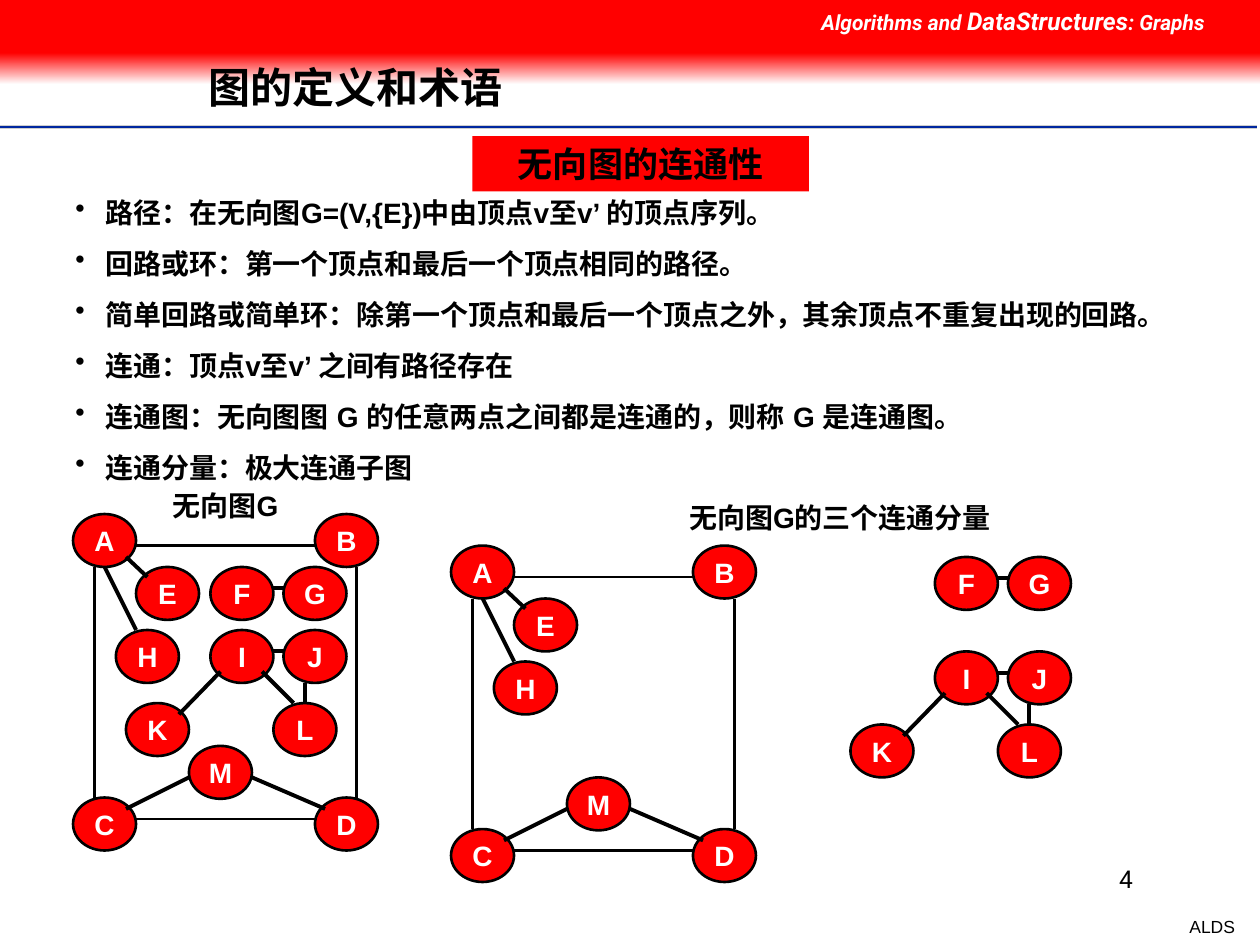
from dataclasses import dataclass

from lxml.etree import SubElement
from pptx import Presentation
from pptx.dml.color import RGBColor
from pptx.enum.shapes import MSO_CONNECTOR, MSO_SHAPE
from pptx.enum.text import MSO_ANCHOR, PP_ALIGN
from pptx.oxml.ns import qn
from pptx.util import Inches, Pt

RED, BLACK, WHITE = "FF0000", "000000", "FFFFFF"
NODE_WIDTH, NODE_HEIGHT = 0.5, 0.42
THIN, THICK = 1.5, 2.25


@dataclass(frozen=True)
class Style:
    size: float
    color: str = BLACK
    font: str = "Arial"
    bold: bool = True
    italic: bool = False
    align: PP_ALIGN = PP_ALIGN.LEFT
    before: float = 0


@dataclass(frozen=True)
class Edge:
    start: tuple[float, float]
    end: tuple[float, float]
    width: float = THICK


@dataclass(frozen=True)
class Component:
    """A connected component, placed as in graph G, and its shift when drawn apart."""
    nodes: dict[str, tuple[float, float]]
    edges: list[Edge]
    shift: tuple[float, float]


COMPONENTS = [
    Component(
        {"A": (0.58, 4.08), "B": (2.5, 4.08), "C": (0.58, 6.33), "D": (2.5, 6.33),
         "E": (1.08, 4.5), "H": (0.92, 5), "M": (1.5, 5.92)},
        [Edge((1.08, 4.33), (2.5, 4.33), THIN), Edge((1.08, 6.5), (2.5, 6.5), THIN),
         Edge((0.75, 4.5), (0.75, 6.33), THIN), Edge((2.83, 4.5), (2.83, 6.33), THIN),
         Edge((2, 6.17), (2.58, 6.42)), Edge((1, 6.42), (1.5, 6.17)),
         Edge((0.83, 4.5), (1.08, 5)), Edge((1, 4.42), (1.17, 4.58))],
        (3, 0.25)),
    Component(
        {"F": (1.67, 4.5), "G": (2.25, 4.5)},
        [Edge((2.17, 4.67), (2.25, 4.67))],
        (5.75, -0.08)),
    Component(
        {"I": (1.67, 5), "J": (2.25, 5), "L": (2.17, 5.58), "K": (1, 5.58)},
        [Edge((2.42, 5.58), (2.42, 5.42)), Edge((1.42, 5.67), (1.75, 5.33)),
         Edge((2.17, 5.17), (2.25, 5.17)), Edge((2.33, 5.58), (2.08, 5.33))],
        (5.75, 0.17)),
]

DEFINITIONS = [
    "路径：在无向图G=(V,{E})中由顶点v至v’ 的顶点序列。",
    "回路或环：第一个顶点和最后一个顶点相同的路径。",
    "简单回路或简单环：除第一个顶点和最后一个顶点之外，其余顶点不重复出现的回路。",
    "连通：顶点v至v’ 之间有路径存在",
    "连通图：无向图图 G 的任意两点之间都是连通的，则称 G 是连通图。",
    "连通分量：极大连通子图",
]


def rgb(value: str) -> RGBColor:
    return RGBColor.from_string(value)


def style_paragraph(para, style: Style) -> None:
    para.alignment = style.align
    para.space_before = Pt(style.before)
    font = para.font
    font.size, font.name = Pt(style.size), style.font
    font.bold, font.italic = style.bold, style.italic
    font.color.rgb = rgb(style.color)


def write(shape, lines: list[str], style: Style, anchor=MSO_ANCHOR.TOP, wrap=True) -> None:
    frame = shape.text_frame
    frame.word_wrap = wrap
    frame.vertical_anchor = anchor
    frame.text = "\n".join(lines)
    for para in frame.paragraphs:
        style_paragraph(para, style)
        for span in para.runs:
            east_asian = SubElement(span.font._element, qn("a:ea"))
            east_asian.set("typeface", style.font)


def add_text(page, left: float, top: float, width: float, height: float,
             lines: list[str], style: Style, anchor=MSO_ANCHOR.TOP, wrap=True):
    box = page.shapes.add_textbox(Inches(left), Inches(top), Inches(width), Inches(height))
    write(box, lines, style, anchor, wrap)
    return box


def add_block(page, kind: MSO_SHAPE, left: float, top: float, width: float, height: float):
    """Add a red shape without outline or shadow."""
    shape = page.shapes.add_shape(kind, Inches(left), Inches(top), Inches(width), Inches(height))
    shape.shadow.inherit = False
    shape.fill.solid()
    shape.fill.fore_color.rgb = rgb(RED)
    shape.line.fill.background()
    return shape


def add_line(page, start: tuple[float, float], end: tuple[float, float],
             width: float, color: str = BLACK) -> None:
    line = page.shapes.add_connector(
        MSO_CONNECTOR.STRAIGHT, *(Inches(value) for value in (*start, *end)))
    line.line.width = Pt(width)
    line.line.color.rgb = rgb(color)
    SubElement(line._element.spPr, qn("a:effectLst"))


def add_node(page, name: str, left: float, top: float) -> None:
    node = add_block(page, MSO_SHAPE.OVAL, left, top, NODE_WIDTH, NODE_HEIGHT)
    node.line.color.rgb = rgb(BLACK)
    node.line.width = Pt(THIN)
    write(node, [name], Style(16, WHITE, align=PP_ALIGN.CENTER), MSO_ANCHOR.MIDDLE, wrap=False)


def add_component(page, component: Component, shift: tuple[float, float] = (0, 0)) -> None:
    def moved(point: tuple[float, float]) -> tuple[float, float]:
        return point[0] + shift[0], point[1] + shift[1]

    for name, corner in component.nodes.items():
        add_node(page, name, *moved(corner))
    for edge in component.edges:
        add_line(page, moved(edge.start), moved(edge.end), edge.width)


def add_frame(page) -> None:
    """Draw the header band, the rule below the title and the footer."""
    for top, color, width in ((1.01, "CECECE", 2), (1.01, "00279F", 1), (1.03, WHITE, 1)):
        add_line(page, (0, top), (9.98, top), width, color)
    add_text(page, 9.34, 7.22, 0.56, 0.27, ["ALDS"],
             Style(10, bold=False, align=PP_ALIGN.RIGHT, before=6.2), wrap=False)
    add_text(page, 7.17, 6.81, 1.92, 0.5, ["4"],
             Style(14, font="Roboto", bold=False, align=PP_ALIGN.RIGHT))

    fade = add_block(page, MSO_SHAPE.RECTANGLE, 0, 0.42, 10, 0.25)
    fade.fill.gradient()
    fade.fill.gradient_angle = 270
    for stop, color in zip(fade.fill.gradient_stops, (RED, WHITE)):
        stop.color.rgb = rgb(color)
    add_block(page, MSO_SHAPE.RECTANGLE, 0, 0, 10, 0.42)

    course = add_text(page, 6.42, 0, 3.58, 0.34, ["Algorithms and "],
                      Style(12, WHITE, "Roboto", italic=True, before=7.5))
    para = course.text_frame.paragraphs[0]
    for text, size in (("DataStructures", 14), (": Graphs", 12)):
        span = para.add_run()
        span.text = text
        span.font.size = Pt(size)


def add_definitions(page) -> None:
    box = add_text(page, 0.5, 1.5, 9, 2.4, DEFINITIONS, Style(16, before=10))
    for para in box.text_frame.paragraphs:
        properties = para._p.get_or_add_pPr()
        properties.set("marL", str(Inches(0.24)))
        properties.set("indent", str(-Inches(0.24)))
        bullet = properties.makeelement(qn("a:buChar"), {"char": "•"})
        properties.insert_element_before(bullet, "a:tabLst", "a:defRPr", "a:extLst")


def main() -> None:
    deck = Presentation()
    deck.slide_width, deck.slide_height = Inches(10), Inches(7.5)
    page = deck.slides.add_slide(deck.slide_layouts[6])

    add_frame(page)
    add_text(page, 1.56, 0.32, 7.55, 0.74, ["图的定义和术语"], Style(24), MSO_ANCHOR.MIDDLE)
    heading = add_block(page, MSO_SHAPE.RECTANGLE, 3.75, 1.08, 2.67, 0.44)
    write(heading, ["无向图的连通性"], Style(20, align=PP_ALIGN.CENTER, before=12.5))
    add_definitions(page)

    for component in COMPONENTS:
        add_component(page, component)
        add_component(page, component, component.shift)
    caption = Style(16, align=PP_ALIGN.CENTER, before=10)
    add_text(page, 1.08, 3.83, 1.42, 0.37, ["无向图G"], caption)
    add_text(page, 5.25, 3.92, 2.83, 0.37, ["无向图G的三个连通分量"], caption)
    deck.save("out.pptx")


if __name__ == "__main__":
    main()
